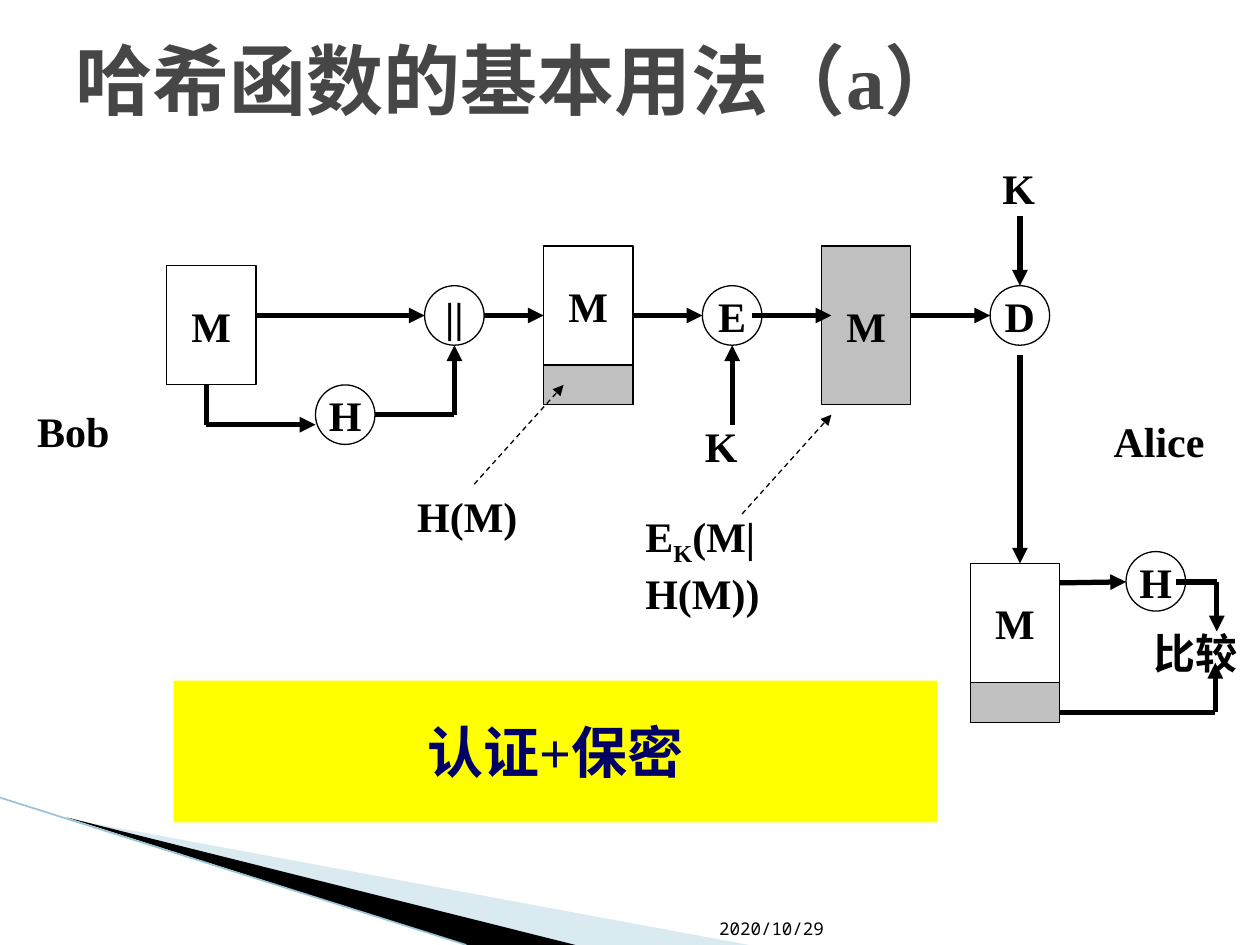
from itertools import pairwise

from lxml import etree
from pptx import Presentation
from pptx.dml.color import RGBColor
from pptx.enum import dml, shapes, text
from pptx.oxml import ns
from pptx.util import Cm, Pt

BLACK = RGBColor(0x00, 0x00, 0x00)
WHITE = RGBColor(0xFF, 0xFF, 0xFF)
GRAY = RGBColor(0xC0, 0xC0, 0xC0)
TITLE_GRAY = RGBColor(0x46, 0x46, 0x46)
YELLOW = RGBColor(0xFF, 0xFF, 0x00)
NAVY = RGBColor(0x00, 0x00, 0x66)
PALE_BLUE = RGBColor(0xA0, 0xCB, 0xDC)
LINE_BLUE = RGBColor(0x97, 0xC5, 0xD8)

SERIF = "Times New Roman"
RECTANGLE = shapes.MSO_SHAPE.RECTANGLE
OVAL = shapes.MSO_SHAPE.OVAL

# Sizes in centimetres
BLOCK_WIDTH, BLOCK_HEIGHT, HASH_HEIGHT = 1.8, 2.4, 0.8
CIRCLE = 1.2
LABEL_HEIGHT = 1.27
AXIS = 1.4  # main flow line, below the top of the sender and channel


def style_font(paragraph, size, color=BLACK, bold=True, name=SERIF):
    font = paragraph.font
    font.name, font.size, font.bold = name, Pt(size), bold
    font.color.rgb = color


class Region:
    """Draws parts in centimetres relative to its top left corner."""

    def __init__(self, slide, left, top):
        self.shapes = slide.shapes
        self.left, self.top = left, top

    def point(self, x, y):
        return Cm(self.left + x), Cm(self.top + y)

    def node(self, kind, x, y, width, height, caption="", fill=WHITE,
             outline=BLACK, size=24, color=BLACK):
        shape = self.shapes.add_shape(kind, *self.point(x, y), Cm(width), Cm(height))
        shape.shadow.inherit = False
        shape.fill.solid()
        shape.fill.fore_color.rgb = fill
        if outline is None:
            shape.line.fill.background()
        else:
            shape.line.color.rgb = outline
            shape.line.width = Pt(0.75)
        if caption:
            frame = shape.text_frame
            frame.word_wrap = False
            frame.vertical_anchor = text.MSO_ANCHOR.MIDDLE
            paragraph = frame.paragraphs[0]
            paragraph.text = caption
            paragraph.alignment = text.PP_ALIGN.CENTER
            style_font(paragraph, size, color)

    def circle(self, x, y, caption):
        self.node(OVAL, x, y, CIRCLE, CIRCLE, caption)

    def packet(self, x, y):
        self.node(RECTANGLE, x, y, BLOCK_WIDTH, BLOCK_HEIGHT, "M")
        self.node(RECTANGLE, x, y + BLOCK_HEIGHT, BLOCK_WIDTH, HASH_HEIGHT, fill=GRAY)

    def label(self, x, y, width, caption):
        box = self.shapes.add_textbox(*self.point(x, y), Cm(width), Cm(LABEL_HEIGHT))
        box.text_frame.word_wrap = True
        paragraph = box.text_frame.paragraphs[0]
        paragraph.text = caption
        style_font(paragraph, 24)
        return paragraph

    def line(self, start, end, color=BLACK, width=3):
        connector = self.shapes.add_connector(
            shapes.MSO_CONNECTOR.STRAIGHT, *self.point(*start), *self.point(*end))
        connector.line.color.rgb = color
        connector.line.width = Pt(width)
        etree.SubElement(connector._element.spPr, ns.qn("a:effectLst"))
        return connector

    def arrow(self, *points, dashed=False):
        """Joins the points with straight lines; the last has an arrowhead."""
        for start, end in pairwise(points):
            connector = self.line(start, end, width=0.75 if dashed else 3)
            if dashed:
                connector.line.dash_style = dml.MSO_LINE.DASH
        outline = connector.line._get_or_add_ln()
        etree.SubElement(outline, ns.qn("a:tailEnd"), type="triangle")

    def wedge(self, points, color, opacity=None):
        first, *rest = [self.point(*point) for point in points]
        builder = self.shapes.build_freeform(*first)
        builder.add_line_segments(rest, close=True)
        shape = builder.convert_to_shape()
        shape.shadow.inherit = False
        shape.fill.solid()
        shape.fill.fore_color.rgb = color
        shape.line.fill.background()
        if opacity is not None:
            fill_color = shape._element.spPr.find(".//" + ns.qn("a:srgbClr"))
            etree.SubElement(fill_color, ns.qn("a:alpha"), val=str(opacity * 1000))


def draw_corner(slide, left, top):
    corner = Region(slide, left, top)
    corner.wedge([(1.4, 0.43), (15.1, 2.97), (11.58, 2.97)], PALE_BLUE, 40)
    corner.wedge([(1.35, 0.4), (11.6, 2.97), (9.4, 2.97)], BLACK)
    corner.line((0, 0), (9.4, 2.97), LINE_BLUE, 0.95)


def draw_title(slide, left, top, width, height):
    title = slide.shapes.title
    title.left, title.top, title.width, title.height = map(Cm, (left, top, width, height))
    title.text_frame.vertical_anchor = text.MSO_ANCHOR.MIDDLE
    paragraph = title.text_frame.paragraphs[0]
    paragraph.text = "哈希函数的基本用法（a）"
    paragraph.alignment = text.PP_ALIGN.LEFT
    style_font(paragraph, 44, TITLE_GRAY)


def draw_sender(slide, left, top):
    sender = Region(slide, left, top)
    sender.label(0.14, 3.1, 3.6, "Bob")
    sender.node(RECTANGLE, 3, 0.4, BLOCK_WIDTH, BLOCK_HEIGHT, "M")
    sender.circle(8.2, AXIS - CIRCLE / 2, "||")
    sender.circle(6, 2.8, "H")
    sender.arrow((4.8, AXIS), (8.2, AXIS))
    sender.arrow((3.8, 2.8), (3.8, 3.6), (6, 3.6))
    sender.arrow((7.2, 3.4), (8.8, 3.4), (8.8, 2))


def draw_channel(slide, left, top):
    channel = Region(slide, left, top)
    channel.packet(0, 0)
    channel.circle(3.2, AXIS - CIRCLE / 2, "E")
    channel.node(RECTANGLE, 5.6, 0, BLOCK_WIDTH, BLOCK_HEIGHT + HASH_HEIGHT, "M", GRAY)
    for start, end in [(-1.2, 0), (1.8, 3.2), (4.2, 5.8), (7.4, 9)]:
        channel.arrow((start, AXIS), (end, AXIS))
    # Key
    channel.label(3, 3.4, 1.8, "K")
    channel.arrow((3.8, 3.6), (3.8, 2))
    # Notes on the hash and the ciphertext
    channel.label(-2.8, 4.8, 3.6, "H(M)")
    channel.arrow((-1.4, 4.8), (0.4, 2.8), dashed=True)
    formula = channel.label(1.8, 5.2, 5, "E")
    subscript = formula.add_run()
    subscript.text = "K"
    subscript.font._element.set("baseline", "-25000")
    formula.add_run().text = "(M|H(M))"
    channel.arrow((4, 5.4), (5.8, 3.4), dashed=True)


def draw_receiver(slide, left, top):
    receiver = Region(slide, left, top)
    receiver.label(2.64, 5.1, 2.6, "Alice")
    # Decryption
    receiver.label(0.4, 0, 1.8, "K")
    receiver.circle(0.4, 2.6, "D")
    receiver.arrow((1, 1.2), (1, 2.6))
    receiver.arrow((1, 4), (1, 8.2))
    # Hash check
    receiver.packet(0, 8.2)
    receiver.circle(3.14, 7.96, "H")
    receiver.label(3.44, 9.37, 2.4, "比较")
    receiver.arrow((1.8, 8.59), (3.14, 8.57))
    receiver.arrow((4.14, 8.57), (4.97, 8.57), (4.97, 9.57))
    receiver.arrow((1.8, 11.2), (4.94, 11.2), (4.94, 10.2))


def draw_banner(slide, left, top, width, height):
    Region(slide, left, top).node(RECTANGLE, 0, 0, width, height, "认证+保密",
                                  YELLOW, None, 32, NAVY)


def draw_date(slide, left, top, width, height):
    box = slide.shapes.add_textbox(Cm(left), Cm(top), Cm(width), Cm(height))
    box.text_frame.word_wrap = True
    box.text_frame.vertical_anchor = text.MSO_ANCHOR.BOTTOM
    paragraph = box.text_frame.paragraphs[0]
    paragraph.text = "2020/10/29"
    style_font(paragraph, 10, bold=False, name="Noto Sans Mono")


def main():
    presentation = Presentation()
    presentation.slide_width, presentation.slide_height = Cm(25.4), Cm(19.05)
    slide = presentation.slides.add_slide(presentation.slide_layouts.get_by_name("Title Only"))
    draw_corner(slide, 0, 16.08)
    draw_title(slide, 1.27, 0, 22.86, 3.18)
    draw_date(slide, 14.25, 17.8, 2.84, 1.25)
    draw_sender(slide, 0.36, 4.96)
    draw_channel(slide, 10.96, 4.96)
    draw_receiver(slide, 19.56, 3.16)
    draw_banner(slide, 3.5, 13.72, 15.4, 2.86)
    presentation.save("out.pptx")


if __name__ == "__main__":
    main()
